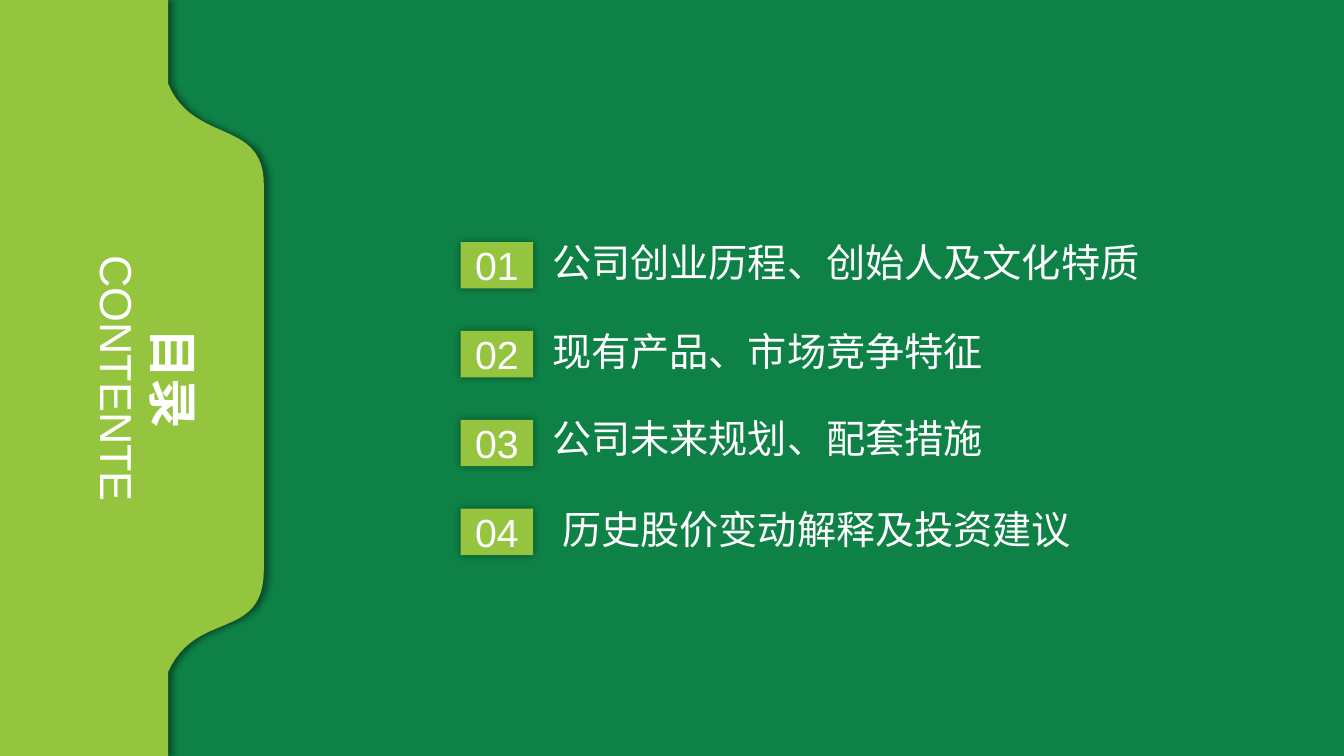
from lxml import etree
from pptx import Presentation
from pptx import util as u
from pptx.dml.color import RGBColor
from pptx.enum import shapes, text
from pptx.oxml import ns

COLORS = {"green": "0E8146", "lime": "95C53E", "white": "FFFFFF", "black": "000000"}
WIDTH, HEIGHT = 33.87, 19.05


def write(paragraph, words, size=28, color="white", font="Arial", bold=False, align=None):
    run = paragraph.add_run()
    run.text = words
    run.font.size = u.Pt(size)
    run.font.name = font
    run.font.bold = bold
    run.font.color.rgb = RGBColor.from_string(COLORS[color])
    paragraph.alignment = align


def curve(start, first, second, end, steps=24):
    points = []
    for step in range(1, steps + 1):
        b = step / steps
        a = 1 - b
        points.append(tuple(
            a**3 * p + 3 * a * a * b * q + 3 * a * b * b * r + b**3 * s
            for p, q, r, s in zip(start, first, second, end)))
    return points


class ContentsSlide:
    center = text.PP_ALIGN.CENTER

    def __init__(self, presentation):
        self.slide = presentation.slides.add_slide(presentation.slide_layouts[6])

    def paint(self, shape, color, blur=0, distance=0):
        shape.shadow.inherit = False
        shape.fill.solid()
        shape.fill.fore_color.rgb = RGBColor.from_string(COLORS[color])
        shape.line.fill.background()
        if blur:
            effects = shape.element.spPr.find(ns.qn("a:effectLst"))
            shadow = etree.SubElement(
                effects, ns.qn("a:outerShdw"), blurRad=str(u.Pt(blur)),
                dist=str(u.Pt(distance)), dir="0", algn="ctr", rotWithShape="0")
            tint = etree.SubElement(shadow, ns.qn("a:srgbClr"), val=COLORS["black"])
            etree.SubElement(tint, ns.qn("a:alpha"), val="40000")

    def rectangle(self, left, top, width, height, color, blur=0):
        shape = self.slide.shapes.add_shape(
            shapes.MSO_SHAPE.RECTANGLE, *map(u.Cm, (left, top, width, height)))
        self.paint(shape, color, blur)
        return shape

    def outline(self, points, color, blur, distance):
        points = [(u.Cm(x), u.Cm(y)) for x, y in points]
        builder = self.slide.shapes.build_freeform(*points[0])
        builder.add_line_segments(points[1:], close=True)
        self.paint(builder.convert_to_shape(), color, blur, distance)

    def number(self, words, left, top, width, height):
        frame = self.rectangle(left, top, width, height, "lime", blur=5).text_frame
        frame.vertical_anchor = text.MSO_ANCHOR.MIDDLE
        write(frame.paragraphs[0], words, align=self.center)

    def text_box(self, left, top, width, height, wrap=False, rotation=0):
        shape = self.slide.shapes.add_textbox(*map(u.Cm, (left, top, width, height)))
        shape.rotation = rotation
        frame = shape.text_frame
        frame.word_wrap = wrap
        frame.auto_size = text.MSO_AUTO_SIZE.SHAPE_TO_FIT_TEXT
        return frame


presentation = Presentation()
presentation.slide_width = u.Cm(WIDTH)
presentation.slide_height = u.Cm(HEIGHT)
contents = ContentsSlide(presentation)

contents.rectangle(0, 0, WIDTH, HEIGHT, "green")

upper_start, lower_start = (4.24, 2.12), (6.65, 14.35)
contents.outline(
    [(0, 0), (4.24, 0), upper_start]
    + curve(upper_start, (4.9, 3.66), (6.68, 2.97), (6.65, 4.7))
    + [lower_start]
    + curve(lower_start, (6.65, 16.18), (4.95, 15.34), (4.24, 16.93))
    + [(4.24, HEIGHT), (0, HEIGHT)],
    "lime", blur=4, distance=3)

title = contents.text_box(0.08, 7.95, 7.26, 3.18, wrap=True, rotation=90)
write(title.paragraphs[0], "目录", size=36, bold=True, align=contents.center)
write(title.add_paragraph(), "CONTENTE", size=32, align=contents.center)

chapters = [
    ("公司创业历程、创始人及文化特质", 5.89, 15.32, 0.25),
    ("现有产品、市场竞争特征", 8.13, 11.38, 0.25),
    ("公司未来规划、配套措施", 10.31, 11.38, 0.25),
    ("历史股价变动解释及投资建议", 12.62, 13.61, 0.5),
]
for index, (chapter, top, width, inset) in enumerate(chapters):
    frame = contents.text_box(13.67, top, width, 1.45)
    frame.margin_left = u.Cm(inset)
    write(frame.paragraphs[0], chapter)
    contents.number(f"{index + 1:02}", 11.61, 6.1 + 2.24 * index, 1.83, 1.17)

presentation.save("out.pptx")
